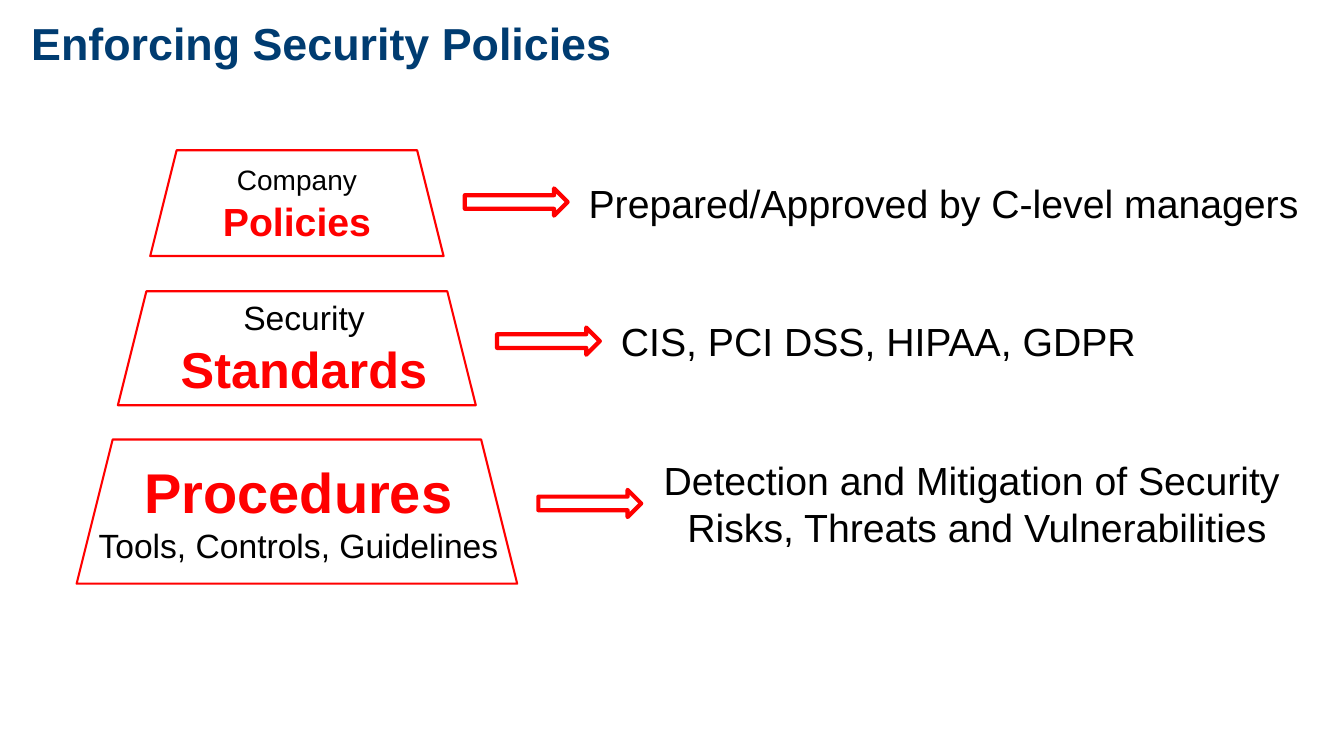
from dataclasses import dataclass

from pptx import Presentation
from pptx.dml.color import RGBColor
from pptx.enum.shapes import MSO_SHAPE
from pptx.enum.text import PP_ALIGN
from pptx.util import Inches, Pt


@dataclass(frozen=True)
class Theme:
    font: str = "Arial"
    navy: RGBColor = RGBColor(0x00, 0x3C, 0x71)
    red: RGBColor = RGBColor(0xFF, 0x00, 0x00)
    black: RGBColor = RGBColor(0x00, 0x00, 0x00)
    title_size: int = 32
    label_size: int = 28
    tier_line: float = 1.5
    arrow_line: float = 3


class PolicyPage:
    """Draws on one slide; every length is a percentage of the slide's size."""

    def __init__(self, deck, theme):
        self.deck, self.theme = deck, theme
        self.page = deck.slides.add_slide(deck.slide_layouts[6])

    def area(self, left, top, width, height):
        across, down = self.deck.slide_width / 100, self.deck.slide_height / 100
        return (round(left * across), round(top * down),
                round(width * across), round(height * down))

    def outline(self, preset, area, weight):
        shape = self.page.shapes.add_shape(preset, *self.area(*area))
        shape.shadow.inherit = False
        shape.fill.background()
        shape.line.color.rgb = self.theme.red
        shape.line.width = Pt(weight)

    def text(self, area, paragraphs, align=PP_ALIGN.LEFT, wrap=True):
        """Each paragraph is a list of (words, size, colour, bold) spans."""
        box = self.page.shapes.add_textbox(*self.area(*area))
        frame = box.text_frame
        frame.word_wrap = wrap
        for index, spans in enumerate(paragraphs):
            para = frame.add_paragraph() if index else frame.paragraphs[0]
            para.alignment = align
            for words, size, color, bold in spans:
                span = para.add_run()
                span.text = words
                span.font.color.rgb = color
                formats = {"name": self.theme.font, "size": Pt(size), "bold": bold}
                for name, value in formats.items():
                    setattr(span.font, name, value)

    def title(self, words):
        span = (words, self.theme.title_size, self.theme.navy, True)
        self.text((1.58, 1.47, 63.32, 8.53), [[span]])

    def tier(self, top, width, height, arrow_top):
        """A trapezoid on the shared axis, with an arrow leaving its right side."""
        axis, gap = 22.09, 1.58
        self.outline(MSO_SHAPE.TRAPEZOID, (axis - width / 2, top, width, height),
                     self.theme.tier_line)
        self.outline(MSO_SHAPE.RIGHT_ARROW,
                     (axis + width / 2 + gap, arrow_top, 7.65, 3.6),
                     self.theme.arrow_line)

    def label(self, area, lines, align=PP_ALIGN.LEFT):
        theme = self.theme
        self.text(area, [[(line, theme.label_size, theme.black, False)]
                         for line in lines], align, wrap=len(lines) > 1)


def main():
    deck = Presentation()
    deck.slide_width, deck.slide_height = Inches(13.33), Inches(7.5)
    theme = Theme()
    page = PolicyPage(deck, theme)
    page.title("Enforcing Security Policies")

    # Pyramid tiers and arrows: top, width, height, arrow top
    for tier in ((19.87, 21.83, 14, 24.93),
                 (38.53, 26.63, 15.07, 43.33),
                 (58.13, 32.78, 19.07, 64.8)):
        page.tier(*tier)

    # Upper tier names: the small word wraps above the large one
    for area, small, small_size, gap_size, large, large_size in (
            ((15.38, 20.13, 13.43, 13.07), "Company", 20, 24, "Policies", 28),
            ((12.3, 37.87, 20.63, 15.73), "Security", 24, 28, "Standards", 36)):
        page.text(area, [[(small, small_size, theme.black, False),
                          (" ", gap_size, theme.black, False),
                          (large, large_size, theme.red, True)]], PP_ALIGN.CENTER)

    # Bottom tier name
    page.text((5.4, 59.87, 33.61, 15.73),
              [[("Procedures", 40, theme.red, True)],
               [("Tools, Controls, Guidelines", 24, theme.black, False)]],
              PP_ALIGN.CENTER)

    # Explanations beside the arrows
    page.label((43.06, 23.07, 54.69, 7.6), ["Prepared/Approved by C-level managers"])
    page.label((45.46, 41.33, 41.04, 7.6), ["CIS, PCI DSS, HIPAA, GDPR"])
    page.label((44.56, 59.73, 55.44, 13.87),
               ["Detection and Mitigation of Security",
                " Risks, Threats and Vulnerabilities"], PP_ALIGN.CENTER)

    deck.save("out.pptx")


if __name__ == "__main__":
    main()
